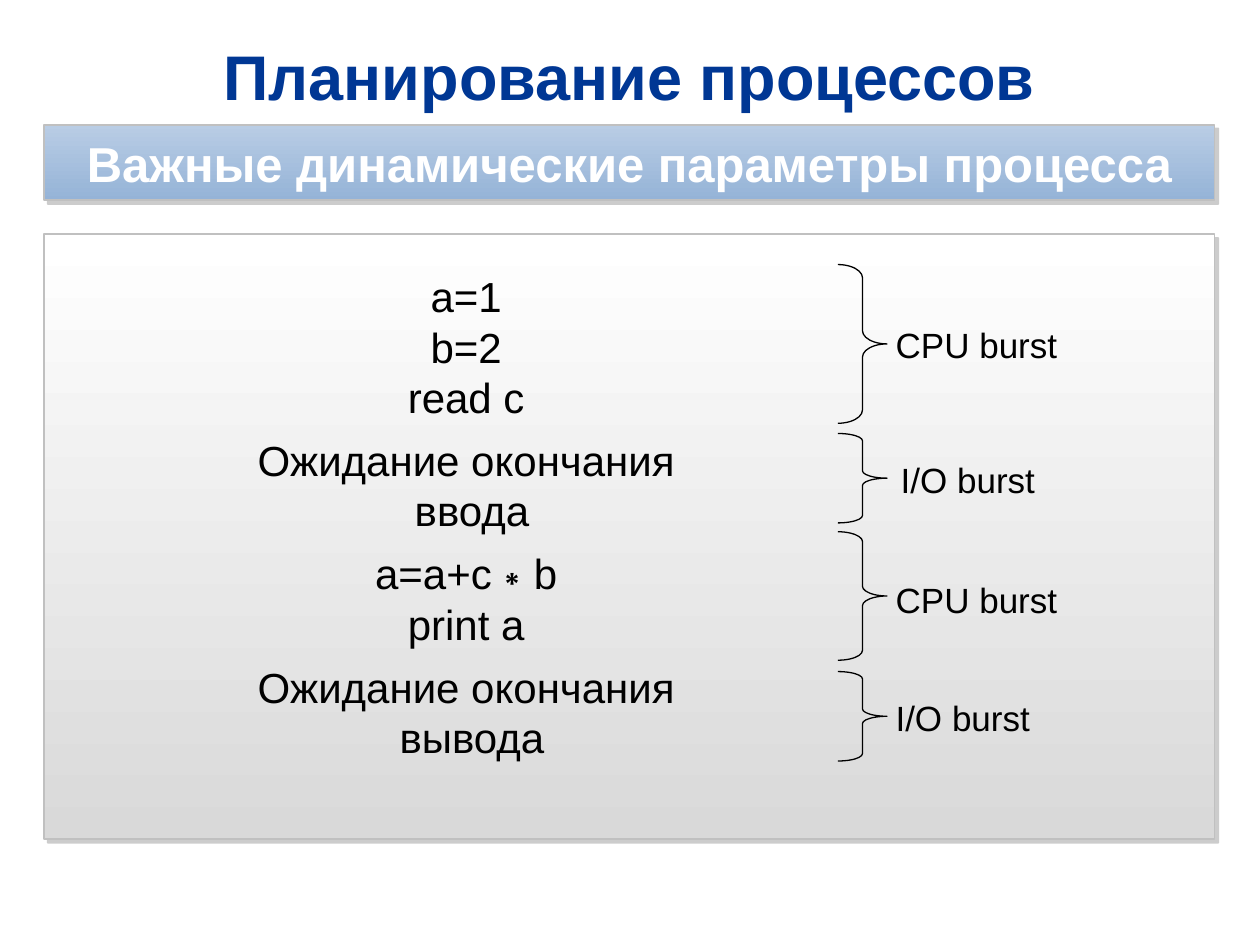
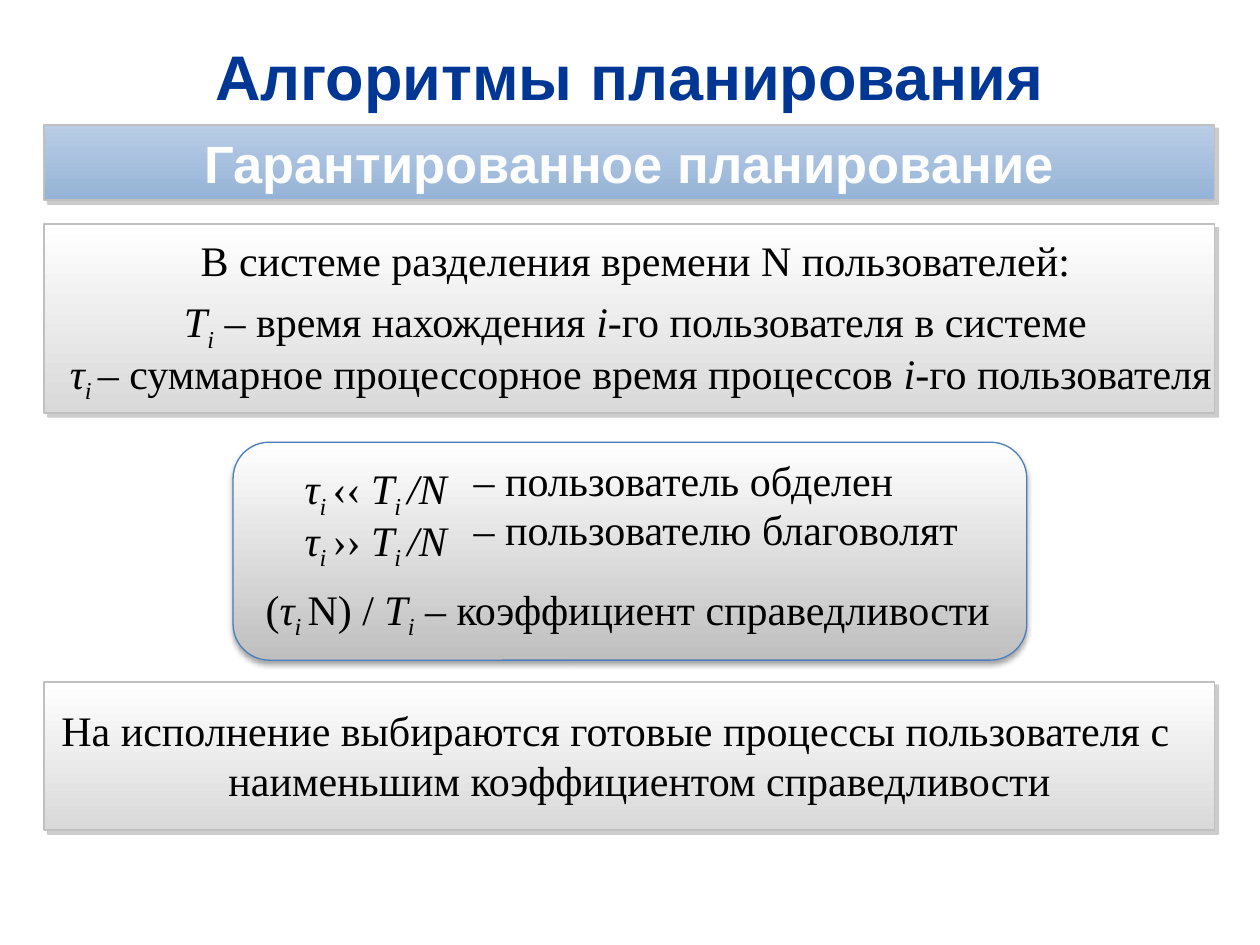
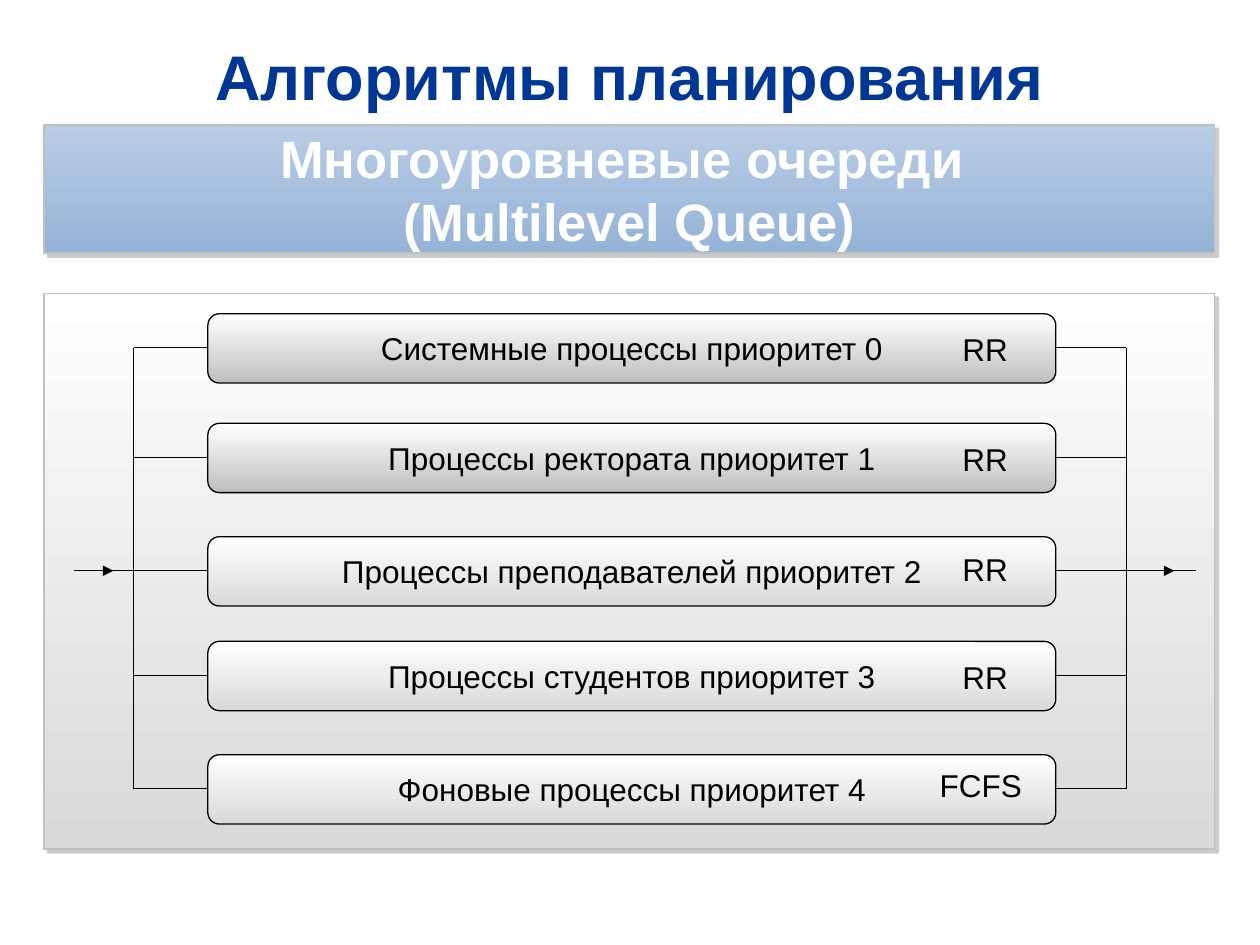
from dataclasses import dataclass
from typing import Optional

from lxml.etree import SubElement
from pptx import Presentation
from pptx.dml.color import RGBColor
from pptx.enum.shapes import MSO_CONNECTOR, MSO_SHAPE as SHAPE
from pptx.enum.text import MSO_ANCHOR as ANCHOR, PP_ALIGN as ALIGN
from pptx.oxml.ns import qn
from pptx.util import Emu, Pt

PX = 9144  # EMU per px, 100 px to the inch

NAVY = RGBColor(0x00, 0x37, 0x94)
BLACK = RGBColor(0x00, 0x00, 0x00)
WHITE = RGBColor(0xFF, 0xFF, 0xFF)
SILVER = RGBColor(0xC0, 0xC0, 0xC0)
GRAY = RGBColor(0x80, 0x80, 0x80)
LIGHT = RGBColor(0xD9, 0xD9, 0xD9)
MID = RGBColor(0xBF, 0xBF, 0xBF)
SKY = RGBColor(0xB9, 0xCD, 0xE5)
STEEL = RGBColor(0x95, 0xB3, 0xD7)
BLUE = RGBColor(0x4B, 0x7E, 0xBC)

SANS, SERIF = "Arial", "Times New Roman"
LEFT, WIDTH = 35, 929


@dataclass(frozen=True)
class Box:
    x: int
    y: int
    w: int
    h: int

    def emu(self) -> list[Emu]:
        return [Emu(v * PX) for v in (self.x, self.y, self.w, self.h)]


@dataclass(frozen=True)
class Style:
    size: int
    font: str = SANS
    color: RGBColor = BLACK
    bold: bool = False


@dataclass(frozen=True)
class Para:
    """Paragraph whose text is plain, or a list of (text, marks).

    The marks are i for italic and s for subscript.
    """
    text: str | list[tuple[str, str]]
    align: ALIGN = ALIGN.LEFT
    before: float = 0
    after: float = 0
    spacing: Optional[float] = None
    hanging: int = 0


@dataclass(frozen=True)
class Shadow:
    color: RGBColor
    alpha: int
    blur: float
    dist: float
    angle: int


@dataclass(frozen=True)
class Burst:
    top: int
    height: int
    bend: float
    label: str
    label_x: int
    label_y: int


@dataclass(frozen=True)
class Queue:
    top: int
    name: str
    shade: RGBColor
    policy: Box
    policy_name: str = "RR"


HARD_SHADOW = Shadow(GRAY, 40, 0, 3, 45)
SOFT_SHADOW = Shadow(BLACK, 35, 3.1, 1.8, 90)

TITLE = Style(36, color=NAVY, bold=True)
BODY = Style(24)
SERIF_BODY = Style(24, SERIF)
LABEL = Style(20)
QUEUE = Style(18)

TAU, T_I = [("τ", "i"), ("i ", "is")], [("T", "i"), ("i", "is")]
T_I_SPACED = [("T", "i"), ("i ", "is")]

BURSTS = [
    Burst(210, 126, 0.27, "CPU burst", 701, 252),
    Burst(344, 71, 0.15, "I/O burst", 705, 359),
    Burst(422, 102, 0.2, "CPU burst", 701, 454),
    Burst(533, 71, 0.15, "I/O burst", 701, 548),
]

QUEUES = [
    Queue(249, "Системные процессы приоритет 0", MID, Box(754, 257, 61, 40)),
    Queue(336, "Процессы ректората приоритет 1", MID, Box(754, 344, 61, 40)),
    Queue(426, "Процессы преподавателей приоритет 2", LIGHT, Box(754, 432, 61, 40)),
    Queue(509, "Процессы студентов приоритет 3", LIGHT, Box(754, 517, 61, 40)),
    Queue(599, "Фоновые процессы приоритет 4", LIGHT, Box(736, 603, 94, 40), "FCFS"),
]


def write(tf, style: Style, paras: list[Para]) -> None:
    for i, para in enumerate(paras):
        p = tf.paragraphs[0] if i == 0 else tf.add_paragraph()
        p.alignment = para.align
        p.space_before, p.space_after = Pt(para.before), Pt(para.after)
        if para.spacing:
            p.line_spacing = para.spacing
        if para.hanging:
            pPr = p._p.get_or_add_pPr()
            pPr.set("marL", str(para.hanging * PX))
            pPr.set("indent", str(-para.hanging * PX))
        p.font.name, p.font.size = style.font, Pt(style.size)
        p.font.bold, p.font.color.rgb = style.bold, style.color
        if isinstance(para.text, str):
            p.text = para.text
            continue
        for text, marks in para.text:
            r = p.add_run()
            r.text = text
            r.font.italic = "i" in marks
            if "s" in marks:
                r.font._element.set("baseline", "-25000")


def add_text(s, box: Box, style: Style, *paras: Para, anchor=ANCHOR.TOP) -> None:
    tf = s.shapes.add_textbox(*box.emu()).text_frame
    tf.word_wrap = True
    tf.vertical_anchor = anchor
    write(tf, style, list(paras))


def add_shadow(sp, shadow: Shadow) -> None:
    effects = sp._element.spPr.find(qn("a:effectLst"))
    outer = SubElement(
        effects, qn("a:outerShdw"), blurRad=str(Pt(shadow.blur)),
        dist=str(Pt(shadow.dist)), dir=str(shadow.angle * 60000),
        algn="ctr", rotWithShape="0")
    color = SubElement(outer, qn("a:srgbClr"), val=str(shadow.color))
    SubElement(color, qn("a:alpha"), val=str(shadow.alpha * 1000))


def add_panel(s, box: Box, top: RGBColor = WHITE, bottom: RGBColor = LIGHT,
              line: RGBColor = SILVER, weight: float = 1, kind=SHAPE.RECTANGLE,
              shadow: Optional[Shadow] = HARD_SHADOW):
    """Shape with a vertical gradient."""
    sp = s.shapes.add_shape(kind, *box.emu())
    sp.fill.gradient()
    sp.fill.gradient_angle = 270
    for stop, color in zip(sp.fill.gradient_stops, (top, bottom)):
        stop.color.rgb = color
    sp.line.color.rgb, sp.line.width = line, Pt(weight)
    sp.shadow.inherit = False
    if shadow:
        add_shadow(sp, shadow)
    return sp


def add_line(s, x1: int, y1: int, x2: int, y2: int, arrow: bool = False) -> None:
    c = s.shapes.add_connector(MSO_CONNECTOR.STRAIGHT,
                               *[Emu(v * PX) for v in (x1, y1, x2, y2)])
    c.line.color.rgb, c.line.width = BLACK, Pt(0.75)
    if arrow:
        SubElement(c.line._get_or_add_ln(), qn("a:tailEnd"), type="triangle")
    SubElement(c._element.spPr, qn("a:effectLst"))


def add_slide(prs, title: str, band: str, band_size: int = 30, band_height: int = 60):
    """Blank slide with the shared title and blue band."""
    s = prs.slides.add_slide(prs.slide_layouts[6])
    add_text(s, Box(LEFT, 26, WIDTH, 68), TITLE, Para(title, ALIGN.CENTER),
             anchor=ANCHOR.MIDDLE)
    sp = add_panel(s, Box(LEFT, 99, WIDTH, band_height), SKY, STEEL)
    tf = sp.text_frame
    tf.word_wrap = True
    tf.vertical_anchor = ANCHOR.MIDDLE
    tf.margin_left = tf.margin_right = Emu(24 * PX)
    tf.margin_top = tf.margin_bottom = Emu(4 * PX)
    write(tf, Style(band_size, color=WHITE, bold=True), [Para(band, ALIGN.CENTER)])
    return s


def build_bursts(prs) -> None:
    s = add_slide(prs, "Планирование процессов",
                  "Важные динамические параметры процесса", 28)
    add_panel(s, Box(LEFT, 186, WIDTH, 480))
    mid, gap = ALIGN.CENTER, 7.2
    add_text(s, Box(67, 210, 606, 410), BODY,
             Para("a=1", mid), Para("b=2", mid), Para("read c", mid),
             Para("Ожидание окончания\v ввода", mid, before=gap, after=gap),
             Para("a=a+c∗b", mid), Para("print a", mid),
             Para("Ожидание окончания\v вывода", mid, before=gap))
    for burst in BURSTS:
        brace = s.shapes.add_shape(SHAPE.RIGHT_BRACE,
                                   *Box(665, burst.top, 39, burst.height).emu())
        brace.adjustments[0] = burst.bend
        brace.fill.background()
        brace.line.color.rgb, brace.line.width = BLACK, Pt(0.75)
        brace.shadow.inherit = False
        add_text(s, Box(burst.label_x, burst.label_y, 173, 44), LABEL,
                 Para(burst.label))


def build_guaranteed(prs) -> None:
    s = add_slide(prs, "Алгоритмы планирования", "Гарантированное планирование")
    add_panel(s, Box(185, 351, 630, 173), bottom=MID, line=BLUE, weight=0.75,
              kind=SHAPE.ROUNDED_RECTANGLE, shadow=SOFT_SHADOW)
    for top, height in ((178, 150), (541, 118)):
        add_panel(s, Box(LEFT, top, WIDTH, height))
    mid = ALIGN.CENTER
    add_text(
        s, Box(28, 186, 961, 128), SERIF_BODY,
        Para("В системе разделения времени N пользователей: ", mid, spacing=0.9),
        Para([*T_I, (" – время нахождения ", ""), ("i", "i"),
              ("-го пользователя в системе ", "")], mid, before=6, spacing=0.9),
        Para([*TAU, ("– суммарное процессорное время процессов ", ""), ("i", "i"),
              ("-го пользователя", "")], mid, spacing=0.9))
    add_text(s, Box(232, 363, 500, 83), SERIF_BODY,
             *[Para([*TAU, (sign, ""), *T_I_SPACED, ("/N", "i")], spacing=0.9)
               for sign in ("‹‹ ", "›› ")])
    add_text(s, Box(28, 554, 921, 91), SERIF_BODY,
             Para("На исполнение выбираются готовые процессы пользователя с "
                  "наименьшим коэффициентом справедливости", mid, hanging=38))
    add_text(s, Box(201, 458, 598, 50), SERIF_BODY,
             Para([("(", ""), *TAU, ("N) / ", ""), *T_I,
                   (" – коэффициент справедливости", "")]))
    for top, verdict in ((356, "пользователь обделен"),
                         (395, "пользователю благоволят")):
        add_text(s, Box(366, top, 441, 50), SERIF_BODY,
                 Para([("– ", "i"), (verdict, "")]))


def build_queues(prs) -> None:
    s = add_slide(prs, "Алгоритмы планирования",
                  "Многоуровневые очереди \v(Multilevel Queue)", band_height=102)
    add_panel(s, Box(LEFT, 233, WIDTH, 441))
    left, width, height = 165, 673, 55
    right, bus_in, bus_out = left + width, 106, 894
    wires = [queue.top + height // 2 for queue in QUEUES]
    for queue, y in zip(QUEUES, wires):
        sp = add_panel(s, Box(left, queue.top, width, height), bottom=queue.shade,
                       line=BLACK, weight=0.75, kind=SHAPE.ROUNDED_RECTANGLE,
                       shadow=None)
        sp.text_frame.word_wrap = False
        sp.text_frame.vertical_anchor = ANCHOR.MIDDLE
        write(sp.text_frame, QUEUE, [Para(queue.name, ALIGN.CENTER)])
        add_line(s, bus_in, y, left, y)
        add_line(s, right, y, bus_out, y)
        add_text(s, queue.policy, QUEUE, Para(queue.policy_name))
    for bus in (bus_in, bus_out):
        add_line(s, bus, wires[0], bus, wires[-1])
    axis = wires[2]
    add_line(s, 59, axis, bus_in, axis)
    add_line(s, bus_out, axis, 949, axis)
    for start in (71, 913):
        add_line(s, start, axis, start + 19, axis, arrow=True)


def main() -> None:
    prs = Presentation()
    prs.slide_width, prs.slide_height = Emu(1000 * PX), Emu(750 * PX)
    build_bursts(prs)
    build_guaranteed(prs)
    build_queues(prs)
    prs.save("out.pptx")


if __name__ == "__main__":
    main()
